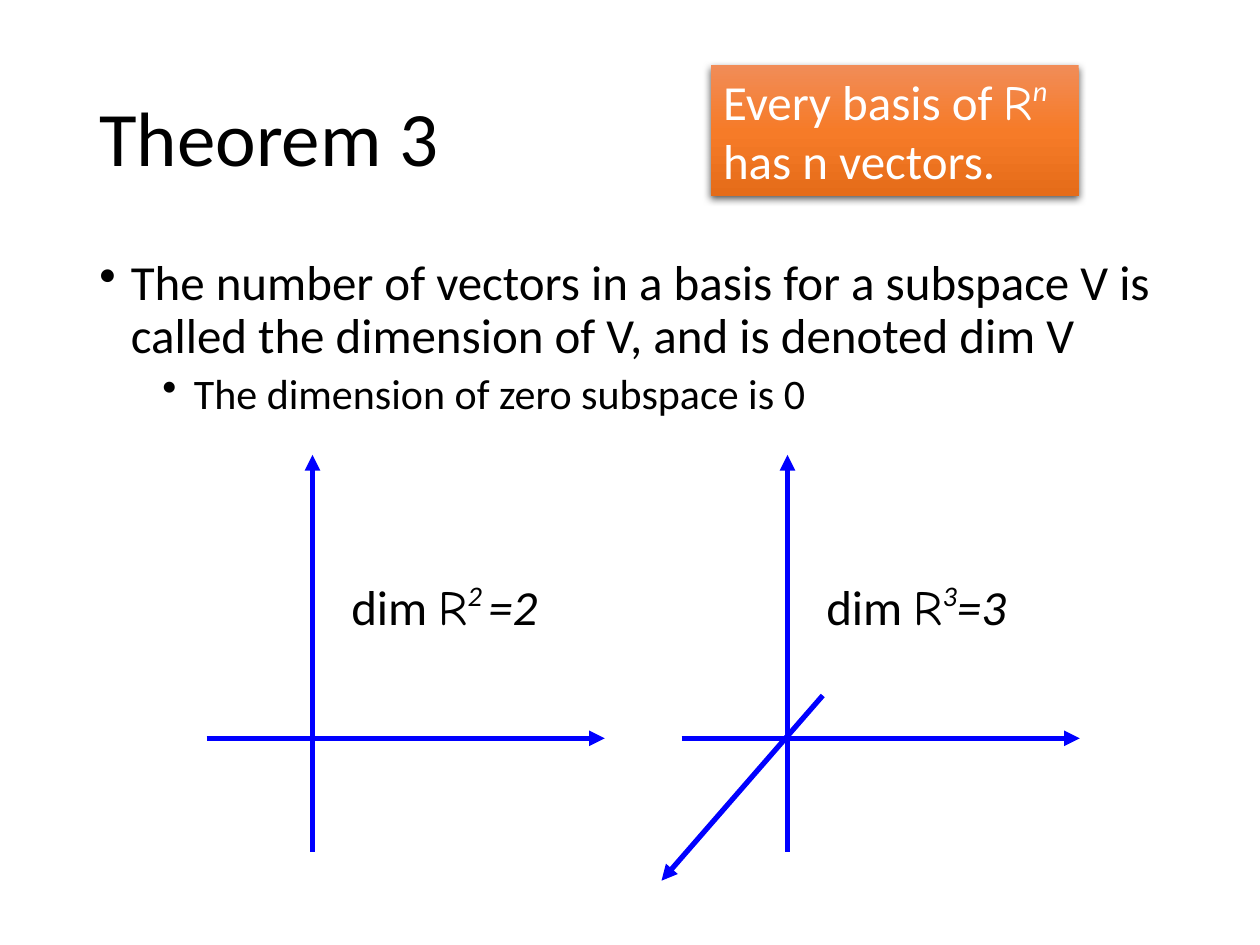
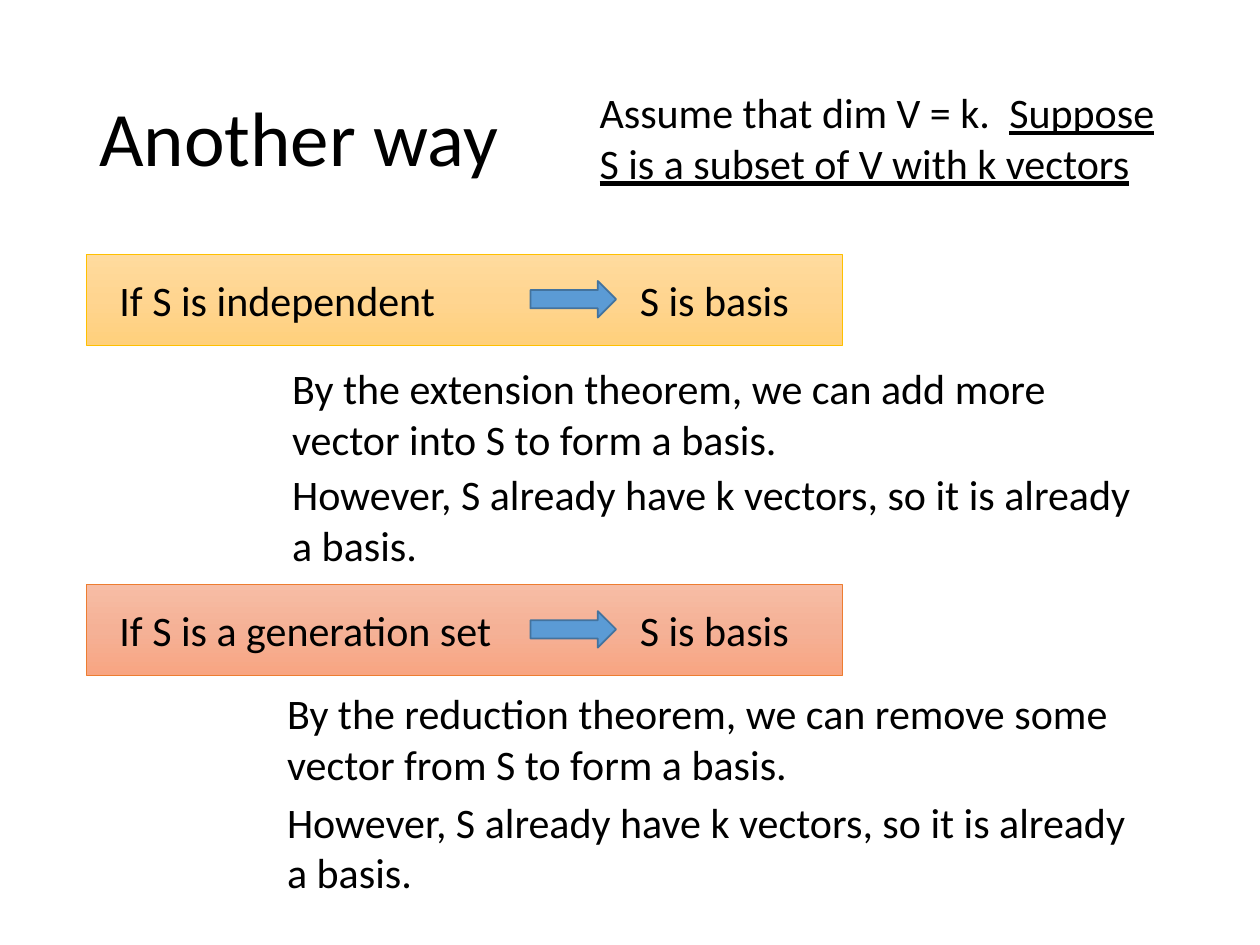
from copy import deepcopy

from lxml.etree import SubElement
from pptx import Presentation
from pptx.dml.color import RGBColor
from pptx.enum.shapes import MSO_CONNECTOR as CONNECTOR, MSO_SHAPE as SHAPE
from pptx.enum.text import MSO_ANCHOR as ANCHOR, PP_ALIGN as ALIGN
from pptx.oxml.ns import qn
from pptx.util import Emu, Pt

PX = 9144  # EMU in one px, 100 px to the inch

# Colours
BLACK = RGBColor(0x00, 0x00, 0x00)
WHITE = RGBColor(0xFF, 0xFF, 0xFF)
AXIS_BLUE = RGBColor(0x00, 0x00, 0xFF)
ARROW_FILL = RGBColor(0x5B, 0x9B, 0xD5)
ARROW_LINE = RGBColor(0x43, 0x73, 0x9E)
GOLD_LINE = RGBColor(0xFF, 0xC0, 0x00)
ORANGE_LINE = RGBColor(0xED, 0x7D, 0x31)
CALLOUT_STOPS = [RGBColor(0xF1, 0x8C, 0x57), RGBColor(0xF6, 0x7B, 0x28), RGBColor(0xE5, 0x6C, 0x19)]
GOLD_STOPS = [RGBColor(0xFF, 0xDB, 0x9E), RGBColor(0xFF, 0xD5, 0x90), RGBColor(0xFF, 0xD0, 0x7C)]
ORANGE_STOPS = [RGBColor(0xF7, 0xBD, 0xA5), RGBColor(0xF5, 0xB1, 0x96), RGBColor(0xF8, 0xA5, 0x82)]

# Run formats
PLAIN = {"name": "Calibri"}
FIELD = {"name": "Comic Neue"}
ITALIC = PLAIN | {"italic": True}
POWER = ITALIC | {"baseline": 40000}
UNDERLINED = PLAIN | {"underline": True}

# Content
TITLE_BOX = (69, 40, 862, 145)
BODY_BOX = (69, 200, 862, 476)
BODY = [  # text, size, left margin, space before
    ("The number of vectors in a basis for a subspace V is called the dimension of V, "
     "and is denoted dim V", 28, 25, 0),
    ("The dimension of zero subspace is 0", 24, 75, 5),
]
CALLOUT_BOX = (564, 52, 292, 104)
CALLOUT = [("Every basis of ", PLAIN), ("R", FIELD), ("n", POWER), (" has n vectors.", PLAIN)]

# Axes as start and end offsets from the plot's origin
PLANE_AXES = [((-84, 0), (232, 0)), ((0, 90), (0, -225))]
DEPTH_AXIS = ((28, -34), (-100, 113))
PLOTS = [  # origin, axes, label
    ((248, 586), PLANE_AXES,
     [("dim ", PLAIN), ("R", FIELD), ("2 ", POWER), ("=2", ITALIC)]),
    ((625, 586), PLANE_AXES + [DEPTH_AXIS],
     [("dim ", PLAIN), ("R", FIELD), ("3", POWER), ("=3", ITALIC)]),
]

ASSUMPTION_BOX = (466, 64, 481, 91)
ASSUMPTION = [("Assume that dim V = k.  ", PLAIN),
              ("Suppose S is a subset of V with k vectors", UNDERLINED)]
CONCLUSION = "S is basis"
CLOSING = "However, S already have k vectors, so it is already a basis."
CLAIMS = [  # top, condition, its width, gradient, outline, reason left, reasons
    (202, "If S is independent", 273, GOLD_STOPS, GOLD_LINE, 222,
     [(283, "By the extension theorem, we can add more vector into S to form a basis."),
      (367, CLOSING)]),
    (464, "If S is a generation set", 320, ORANGE_STOPS, ORANGE_LINE, 218,
     [(541, "By the reduction theorem, we can remove some vector from S to form a basis."),
      (627, CLOSING)]),
]


def px(*lengths):
    return [Emu(length * PX) for length in lengths]


def add_runs(paragraph, runs, size, color=BLACK):
    paragraph.alignment = ALIGN.LEFT
    for text, style in runs:
        run = paragraph.add_run()
        run.text = text
        run.font.size = Pt(size)
        run.font.color.rgb = color
        for key, value in style.items():
            if key == "baseline":
                run.font._element.set(key, str(value))
            else:
                setattr(run.font, key, value)


def add_text(shapes, box, runs, size):
    frame = shapes.add_textbox(*px(*box)).text_frame
    frame.word_wrap = True
    add_runs(frame.paragraphs[0], runs, size)
    return frame


def add_title(slide, text):
    frame = add_text(slide.shapes, TITLE_BOX, [(text, PLAIN)], 44)
    frame.vertical_anchor = ANCHOR.MIDDLE
    frame.paragraphs[0].line_spacing = 0.9


def add_gradient_box(shapes, box, colors):
    shape = shapes.add_shape(SHAPE.RECTANGLE, *px(*box))
    shape.shadow.inherit = False
    shape.fill.gradient()
    shape.fill.gradient_angle = 270  # top to bottom
    stop_list = next(shape._element.iter(qn("a:gsLst")))
    stop_list.append(deepcopy(stop_list[0]))
    for index, (stop, color) in enumerate(zip(shape.fill.gradient_stops, colors)):
        stop.position = index / 2
        stop.color.rgb = color
    return shape


def add_axis(slide, start, end):
    axis = slide.shapes.add_connector(CONNECTOR.STRAIGHT, *px(*start, *end))
    axis.line.color.rgb = AXIS_BLUE
    axis.line.width = Pt(3)
    SubElement(axis.line._get_or_add_ln(), qn("a:tailEnd"), type="triangle")
    SubElement(axis._element.spPr, qn("a:effectLst"))


def add_body(slide):
    frame = slide.shapes.add_textbox(*px(*BODY_BOX)).text_frame
    frame.word_wrap = True
    for level, (text, size, margin, space) in enumerate(BODY):
        paragraph = frame.add_paragraph() if level else frame.paragraphs[0]
        properties = paragraph._p.get_or_add_pPr()
        properties.set("marL", str(margin * PX))
        properties.set("indent", str(-25 * PX))
        SubElement(properties, qn("a:buChar"), char="•")
        paragraph.level = level
        paragraph.line_spacing = 0.9
        paragraph.space_before = Pt(space)
        add_runs(paragraph, [(text, PLAIN)], size)


def add_callout(slide):
    shape = add_gradient_box(slide.shapes, CALLOUT_BOX, CALLOUT_STOPS)
    shape.line.fill.background()
    effects = shape._element.spPr.find(qn("a:effectLst"))
    shadow = SubElement(effects, qn("a:outerShdw"), blurRad=str(Pt(4.5)),
                        dist=str(Pt(1.5)), dir="5400000", algn="ctr", rotWithShape="0")
    color = SubElement(shadow, qn("a:srgbClr"), val=str(BLACK))
    SubElement(color, qn("a:alpha"), val="63000")
    frame = shape.text_frame
    frame.word_wrap = True
    frame.vertical_anchor = ANCHOR.TOP
    add_runs(frame.paragraphs[0], CALLOUT, 28, WHITE)


def add_claim(slide, top, condition, width, colors, outline):
    shapes = slide.shapes.add_group_shape().shapes
    band = add_gradient_box(shapes, (69, top, 600, 72), colors)
    band.line.color.rgb = outline
    band.line.width = Pt(0.5)
    add_text(shapes, (85, top + 11, width, 50), [(condition, PLAIN)], 24)
    add_text(shapes, (498, top + 11, 154, 50), [(CONCLUSION, PLAIN)], 24)
    arrow = shapes.add_shape(SHAPE.RIGHT_ARROW, *px(421, top + 21, 68, 29))
    arrow.shadow.inherit = False
    arrow.fill.solid()
    arrow.fill.fore_color.rgb = ARROW_FILL
    arrow.line.color.rgb = ARROW_LINE
    arrow.line.width = Pt(1)


def build_dimension_slide(slide):
    add_title(slide, "Theorem 3")
    add_body(slide)
    for (x, y), axes, label in PLOTS:
        for (x1, y1), (x2, y2) in axes:
            add_axis(slide, (x + x1, y + y1), (x + x2, y + y2))
        add_text(slide.shapes, (x + 21, y - 133, 190, 57), label, 28)
    add_callout(slide)


def build_basis_slide(slide):
    add_title(slide, "Another way")
    add_text(slide.shapes, ASSUMPTION_BOX, ASSUMPTION, 24)
    for top, condition, width, colors, outline, left, reasons in CLAIMS:
        add_claim(slide, top, condition, width, colors, outline)
        for reason_top, reason in reasons:
            add_text(slide.shapes, (left, reason_top, 691, 91), [(reason, PLAIN)], 24)


def main():
    presentation = Presentation()
    presentation.slide_width, presentation.slide_height = px(1000, 750)
    blank = presentation.slide_layouts[6]
    for build in (build_dimension_slide, build_basis_slide):
        build(presentation.slides.add_slide(blank))
    presentation.save("out.pptx")


if __name__ == "__main__":
    main()
